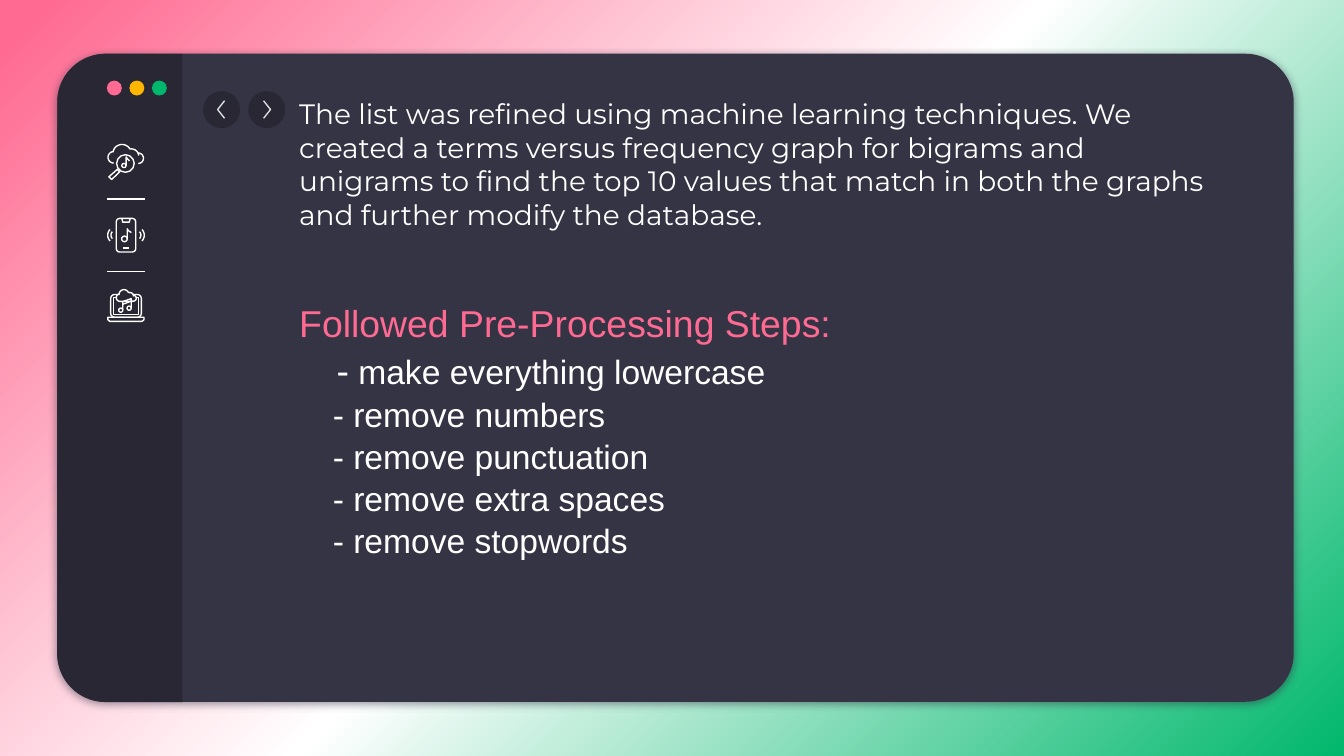
from dataclasses import dataclass
from itertools import chain
from math import cos, radians, sin

from lxml.etree import SubElement
from pptx import Presentation
from pptx.dml.color import RGBColor
from pptx.enum.shapes import MSO_CONNECTOR, MSO_SHAPE
from pptx.oxml.ns import qn
from pptx.shapes.autoshape import Shape
from pptx.slide import Slide
from pptx.util import Pt

Point = tuple[float, float]


@dataclass(frozen=True)
class Theme:
    pink: str = "FF6A92"
    amber: str = "FFB600"
    green: str = "00B76C"
    white: str = "FFFFFF"
    panel: str = "353445"
    sidebar: str = "282733"
    chevron: str = "DCDEE2"
    heading_font: str = "Montserrat"
    body_font: str = "Arial"
    intro_size: float = 15
    heading_size: float = 20
    step_size: float = 18
    stroke: float = 0.75


@dataclass(frozen=True)
class Box:
    left: float
    top: float
    width: float
    height: float


@dataclass(frozen=True)
class Stroke:
    points: list[Point]
    closed: bool = False
    fill: str | None = None


@dataclass(frozen=True)
class Icon:
    top: float
    outlines: list[tuple[int, Box]]
    strokes: list[Stroke]


@dataclass(frozen=True)
class TextRun:
    text: str
    size: float
    color: str
    font: str


@dataclass(frozen=True)
class Line:
    runs: list[TextRun]
    indent: float = 0
    before: float = 0


THEME = Theme()
ICON_LEFT, ICON_WIDTH = 57.4, 20.2


def arc(x: float, y: float, radius: float, start: int, end: int) -> list[Point]:
    angles = [radians(start + (end - start) * i / 12) for i in range(13)]
    return [(x + radius * cos(a), y + radius * sin(a)) for a in angles]


def cloud(*lobes: tuple[float, float, float, int, int]) -> list[Point]:
    return list(chain.from_iterable(arc(*lobe) for lobe in lobes))


def ring(x: float, y: float, radius: float) -> tuple[int, Box]:
    return MSO_SHAPE.OVAL, Box(x - radius, y - radius, 2 * radius, 2 * radius)


def paint(shape: Shape, fill: str | None, line: str | None = None) -> None:
    shape.shadow.inherit = False
    if fill:
        shape.fill.solid()
        shape.fill.fore_color.rgb = RGBColor.from_string(fill)
    else:
        shape.fill.background()
    if line:
        shape.line.color.rgb = RGBColor.from_string(line)
        shape.line.width = Pt(THEME.stroke)
    else:
        shape.line.fill.background()


def draw_shape(slide: Slide, kind: int, box: Box, fill: str | None, line: str | None = None) -> Shape:
    shape = slide.shapes.add_shape(kind, Pt(box.left), Pt(box.top), Pt(box.width), Pt(box.height))
    paint(shape, fill, line)
    return shape


def draw_stroke(slide: Slide, stroke: Stroke, left: float, top: float, color: str) -> None:
    start, *rest = [(Pt(left + x), Pt(top + y)) for x, y in stroke.points]
    builder = slide.shapes.build_freeform(*start, scale=1.0)
    builder.add_line_segments(rest, close=stroke.closed)
    paint(builder.convert_to_shape(), stroke.fill, color)


def draw_icon(slide: Slide, icon: Icon) -> None:
    for kind, box in icon.outlines:
        placed = Box(ICON_LEFT + box.left, icon.top + box.top, box.width, box.height)
        draw_shape(slide, kind, placed, None, THEME.white)
    for stroke in icon.strokes:
        draw_stroke(slide, stroke, ICON_LEFT, icon.top, THEME.white)


def draw_separator(slide: Slide, y: float) -> None:
    rule = slide.shapes.add_connector(
        MSO_CONNECTOR.STRAIGHT, Pt(ICON_LEFT), Pt(y), Pt(ICON_LEFT + ICON_WIDTH), Pt(y))
    rule.line.color.rgb = RGBColor.from_string(THEME.white)
    rule.line.width = Pt(THEME.stroke)
    SubElement(rule._element.spPr, qn("a:effectLst"))


def draw_text(slide: Slide, box: Box, lines: list[Line], margin: float) -> None:
    frame = slide.shapes.add_textbox(Pt(box.left), Pt(box.top), Pt(box.width), Pt(box.height)).text_frame
    frame.word_wrap = True
    frame.margin_top = frame.margin_bottom = Pt(margin)
    for index, line in enumerate(lines):
        paragraph = frame.add_paragraph() if index else frame.paragraphs[0]
        if line.indent:
            paragraph._p.get_or_add_pPr().set("marL", str(Pt(line.indent)))
        if line.before:
            paragraph.space_before = Pt(line.before)
        for part in line.runs:
            run = paragraph.add_run()
            run.text = part.text
            run.font.size = Pt(part.size)
            run.font.name = part.font
            run.font.color.rgb = RGBColor.from_string(part.color)


def paint_background(slide: Slide) -> None:
    fill = slide.background.fill
    fill.gradient()
    fill.gradient_angle = 315
    stops = slide._element.find(".//" + qn("a:gsLst"))
    for old in list(stops):
        stops.remove(old)
    for percent, color in ((0, THEME.pink), (2, THEME.pink), (50, THEME.white), (100, THEME.green)):
        stop = SubElement(stops, qn("a:gs"), pos=str(percent * 1000))
        SubElement(stop, qn("a:srgbClr"), val=color)


def draw_window(slide: Slide) -> None:
    panel = draw_shape(slide, MSO_SHAPE.ROUNDED_RECTANGLE, Box(30.7, 28.8, 662.4, 347.2), THEME.panel)
    panel.adjustments[0] = 0.075
    effects = panel._element.spPr.find(qn("a:effectLst"))
    shadow = SubElement(effects, qn("a:outerShdw"), blurRad=str(Pt(4.5)), dist=str(Pt(1.5)),
                        dir="5400000", algn="bl", rotWithShape="0")
    tint = SubElement(shadow, qn("a:srgbClr"), val=THEME.panel)
    SubElement(tint, qn("a:alpha"), val="50000")
    sidebar = draw_shape(slide, MSO_SHAPE.ROUND_2_SAME_RECTANGLE, Box(-109.4, 169, 347.2, 67), THEME.sidebar)
    sidebar.rotation = 270
    sidebar.adjustments[0], sidebar.adjustments[1] = 0.386, 0
    for index, color in enumerate((THEME.pink, THEME.amber, THEME.green)):
        draw_shape(slide, MSO_SHAPE.OVAL, Box(57.3 + 12.05 * index, 43.2, 8, 8), color)
    for index, (base, tip) in enumerate(((11.5, 7.8), (8.2, 11.9))):
        left = 108.8 + 24.2 * index
        draw_shape(slide, MSO_SHAPE.OVAL, Box(left, 48.8, 19.8, 19.8), THEME.sidebar)
        chevron = Stroke([(base, 5.2), (tip, 9.9), (base, 14.6)])
        draw_stroke(slide, chevron, left, 48.8, THEME.chevron)


MUSIC_SEARCH = Icon(76.8, [ring(9.8, 10.8, 4.7), ring(9, 11.9, 1.1)], [
    Stroke(cloud((3.6, 7.5, 3.1, 90, 260), (8, 5.5, 4.9, 190, 330),
                 (13, 7, 4, 270, 350), (16.7, 8, 2.8, 270, 450))),
    Stroke([(5.4, 14), (6.7, 15.3), (2.4, 19.4), (0.9, 18)], closed=True),
    Stroke([(10.2, 11.9), (10.2, 7.3), (10.8, 8.2), (12, 9.4)]),
])
MUSIC_PHONE = Icon(116.6, [(MSO_SHAPE.ROUNDED_RECTANGLE, Box(4.9, 0.4, 10.4, 18)), ring(9.3, 11.4, 1.5)], [
    Stroke([(7.9, 0.4), (8.3, 2.4), (11.9, 2.4), (12.3, 0.4)]),
    Stroke([(8.5, 16.2), (11.7, 16.2)]),
    Stroke([(10.8, 11.4), (10.8, 6), (11.4, 7), (13, 8)]),
    *(Stroke(arc(x, 9.4, radius, middle - 43, middle + 43))
      for x, middle in ((4.8, 180), (15.4, 0)) for radius in (2.7, 4.5)),
])
MUSIC_LAPTOP = Icon(154.8, [
    (MSO_SHAPE.ROUNDED_RECTANGLE, Box(1.9, 3, 16.4, 12.2)),
    (MSO_SHAPE.RECTANGLE, Box(3.5, 4.5, 13.2, 9.3)),
    ring(7.3, 11.4, 1.1), ring(11.8, 10.3, 1.1),
], [
    Stroke([(0.4, 15.2), (19.8, 15.2), (19.8, 16.5), (18.7, 17.4), (1.5, 17.4), (0.4, 16.5)], closed=True),
    Stroke(cloud((6.9, 4.7, 2, 90, 250), (9, 3, 2.6, 180, 330),
                 (12.3, 3.8, 1.8, 260, 360), (14, 5, 1.6, 270, 450)), closed=True, fill=THEME.sidebar),
    Stroke([(8.4, 11.4), (8.4, 6.8), (12.9, 5.2), (12.9, 10.3)]),
    Stroke([(8.4, 8.2), (12.9, 6.6)]),
])

INTRO = ("The list was refined using machine learning techniques. We created a terms versus frequency "
         "graph for bigrams and unigrams to find the top 10 values that match in both the graphs and "
         "further modify the database.")
STEPS = ("numbers", "punctuation", "extra spaces", "stopwords")


def main() -> None:
    deck = Presentation()
    deck.slide_width, deck.slide_height = Pt(720), Pt(405)
    slide = deck.slides.add_slide(deck.slide_layouts[6])
    paint_background(slide)
    draw_window(slide)
    for icon in (MUSIC_SEARCH, MUSIC_PHONE, MUSIC_LAPTOP):
        draw_icon(slide, icon)
    for y in (106.6, 145.4):
        draw_separator(slide, y)
    intro = TextRun(INTRO, THEME.intro_size, THEME.white, THEME.heading_font)
    draw_text(slide, Box(153.2, 51.8, 506.2, 37.4), [Line([intro])], 0)
    heading = TextRun("Followed Pre-Processing Steps:", THEME.heading_size, THEME.pink, THEME.body_font)
    dash = TextRun("-", THEME.heading_size, THEME.white, THEME.body_font)
    lowercase = TextRun(" make everything lowercase", THEME.step_size, THEME.white, THEME.body_font)
    removals = [TextRun(f"- remove {step}", THEME.step_size, THEME.white, THEME.body_font) for step in STEPS]
    lines = [Line([heading]), Line([dash, lowercase], 20, 1), *(Line([step], 18, 1) for step in removals)]
    draw_text(slide, Box(153.2, 157.4, 430.6, 143.3), lines, 3.6)
    deck.save("out.pptx")


if __name__ == "__main__":
    main()
